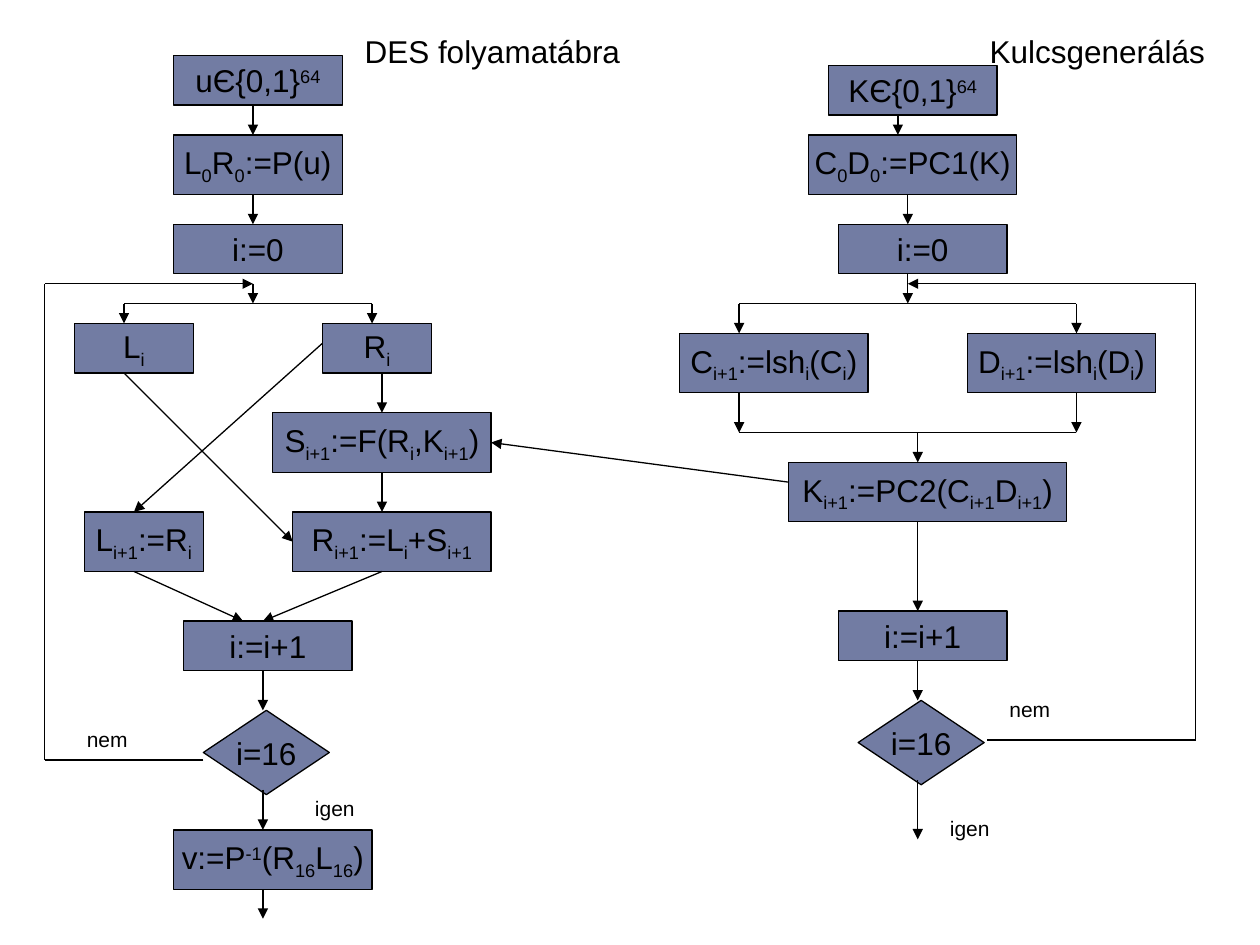
from itertools import pairwise

from lxml.etree import SubElement
from pptx import Presentation
from pptx.dml.color import RGBColor
from pptx.enum.shapes import MSO_CONNECTOR as Link, MSO_SHAPE as Preset
from pptx.enum.text import MSO_ANCHOR as Anchor, MSO_AUTO_SIZE as AutoSize, PP_ALIGN as Align
from pptx.oxml.ns import qn
from pptx.util import Cm, Pt

INK, STEEL = "000000", "727CA3"
STEP_FRAME = {"word_wrap": False, "vertical_anchor": Anchor.MIDDLE}
LABEL_FRAME = {"word_wrap": True, "auto_size": AutoSize.SHAPE_TO_FIT_TEXT}
BASELINES = {"^": "30000", "_": "-25000"}
TOP, LEFT, BOTTOM, RIGHT = range(4)

TITLES = [
    ("DES folyamatábra", 7.1, 0.53, 5.8),
    ("Kulcsgenerálás", 19.7, 0.53, 5.2),
]
ANSWERS = [
    ("nem", 1.5, 14.52, 1.8),
    ("igen", 6.1, 15.92, 1.8),
    ("nem", 20.1, 13.92, 1.4),
    ("igen", 18.9, 16.32, 1.4),
]
STEPS = {
    "input": ("uЄ{0,1}|^64", 3.5, 1.12, 3.4, 1),
    "permute": ("L|_0|R|_0|:=P(u)", 3.5, 2.72, 3.4, 1.2),
    "start": ("i:=0", 3.5, 4.52, 3.4, 1),
    "left half": ("L|_i", 1.5, 6.52, 2.4, 1),
    "right half": ("R|_i", 6.5, 6.52, 2.2, 1),
    "round": ("S|_i+1|:=F(R|_i|,K|_i+1|)", 5.5, 8.32, 4.4, 1.2),
    "next left": ("L|_i+1|:=R|_i", 1.7, 10.32, 2.4, 1.2),
    "next right": ("R|_i+1|:=L|_i|+S|_i+1", 5.9, 10.32, 4, 1.2),
    "count": ("i:=i+1", 3.7, 12.52, 3.4, 1),
    "output": ("v:=P|^-1|(R|_16|L|_16|)", 3.5, 16.73, 4, 1.2),
    "key": ("KЄ{0,1}|^64", 16.7, 1.32, 3.4, 1),
    "choose": ("C|_0|D|_0|:=PC1(K)", 16.3, 2.72, 4.2, 1.2),
    "key start": ("i:=0", 16.9, 4.52, 3.4, 1),
    "shift C": ("C|_i+1|:=lsh|_i|(C|_i|)", 13.7, 6.72, 3.8, 1.2),
    "shift D": ("D|_i+1|:=lsh|_i|(D|_i|)", 19.5, 6.72, 3.8, 1.2),
    "round key": ("K|_i+1|:=PC2(C|_i+1|D|_i+1|)", 15.9, 9.32, 5.6, 1.2),
    "key count": ("i:=i+1", 16.9, 12.32, 3.4, 1),
}
DECISIONS = [("i=16", 4.1, 14.32, 2.54, 1.7), ("i=16", 17.3, 14.12, 2.54, 1.7)]

DOWNWARD = [
    (5.1, 2.12, 2.72), (5.1, 3.92, 4.52), (5.1, 5.72, 6.12),
    (2.5, 6.12, 6.52), (7.5, 6.12, 6.52), (5.3, 13.52, 14.32),
    (5.3, 15.92, 16.73), (5.3, 17.93, 18.52),
    (18.1, 2.32, 2.72), (18.3, 3.92, 4.52), (18.3, 5.52, 6.12),
    (14.9, 6.12, 6.72), (21.7, 6.12, 6.72), (14.9, 7.92, 8.72),
    (21.7, 7.92, 8.72), (18.5, 8.72, 9.32), (18.5, 10.52, 12.32),
    (18.5, 13.32, 14.12), (18.5, 15.72, 16.92),
]
SLANTED = [
    ((6.5, 6.92), (2.7, 10.32)),
    ((2.7, 11.52), (4.9, 12.52)),
    ((7.7, 11.52), (5.3, 12.52)),
]
BRANCH_BARS = [(2.5, 7.5, 6.12), (14.9, 21.7, 6.12), (14.9, 21.7, 8.72)]
LOOPS = [
    [(4.1, 15.32), (0.9, 15.32), (0.9, 5.72), (5.1, 5.72)],
    [(19.9, 14.92), (24.1, 14.92), (24.1, 5.72), (18.3, 5.72)],
]


def color(code):
    return RGBColor.from_string(code)


def apply(target, settings):
    for name, value in settings.items():
        setattr(target, name, value)


def write(frame, formula, size, align, settings):
    apply(frame, settings)
    paragraph = frame.paragraphs[0]
    paragraph.alignment = align
    for part in formula.split("|"):
        run = paragraph.add_run()
        baseline = BASELINES.get(part[0])
        run.text = part[1:] if baseline else part
        apply(run.font, {"name": "Arial", "size": Pt(size)})
        run.font.color.rgb = color(INK)
        if baseline:
            run.font._element.set("baseline", baseline)


def add_step(slide, formula, *place, preset=Preset.RECTANGLE):
    step = slide.shapes.add_shape(preset, *map(Cm, place))
    step.shadow.inherit = False
    step.fill.solid()
    step.fill.fore_color.rgb = color(STEEL)
    step.line.color.rgb = color(INK)
    step.line.width = Pt(0.75)
    write(step.text_frame, formula, 18, Align.CENTER, STEP_FRAME)
    return step


def add_label(slide, wording, x, y, width, size, height):
    label = slide.shapes.add_textbox(*map(Cm, (x, y, width, height)))
    write(label.text_frame, wording, size, Align.LEFT, LABEL_FRAME)


def add_flow(slide, start, end, arrow=True):
    flow = slide.shapes.add_connector(Link.STRAIGHT, *map(Cm, (*start, *end)))
    flow.line.color.rgb = color(INK)
    flow.line.width = Pt(0.75)
    if arrow:
        SubElement(flow.line._get_or_add_ln(), qn("a:tailEnd"), type="triangle")
    SubElement(flow._element.spPr, qn("a:effectLst"))
    return flow


def add_loop(slide, corners):
    for start, end in pairwise(corners):
        add_flow(slide, start, end, arrow=end == corners[-1])


def main():
    deck = Presentation()
    apply(deck, {"slide_width": Cm(25.4), "slide_height": Cm(19.05)})
    slide = deck.slides.add_slide(deck.slide_layouts[6])

    for title in TITLES:
        add_label(slide, *title, size=18, height=1.02)
    for answer in ANSWERS:
        add_label(slide, *answer, size=12, height=0.76)
    steps = {name: add_step(slide, *step) for name, step in STEPS.items()}
    for decision in DECISIONS:
        add_step(slide, *decision, preset=Preset.FLOWCHART_DECISION)

    for x, top, bottom in DOWNWARD:
        add_flow(slide, (x, top), (x, bottom))
    for start, end in SLANTED:
        add_flow(slide, start, end)
    for left, right, y in BRANCH_BARS:
        add_flow(slide, (left, y), (right, y), arrow=False)
    for corners in LOOPS:
        add_loop(slide, corners)

    add_flow(slide, (7.7, 7.52), (7.7, 8.32)).end_connect(steps["round"], TOP)
    add_flow(slide, (7.7, 9.52), (7.7, 10.32)).begin_connect(steps["round"], BOTTOM)
    add_flow(slide, (2.5, 7.52), (5.9, 10.92)).end_connect(steps["next right"], LEFT)
    add_flow(slide, (15.9, 9.72), (9.9, 8.92)).end_connect(steps["round"], RIGHT)

    deck.save("out.pptx")


if __name__ == "__main__":
    main()
